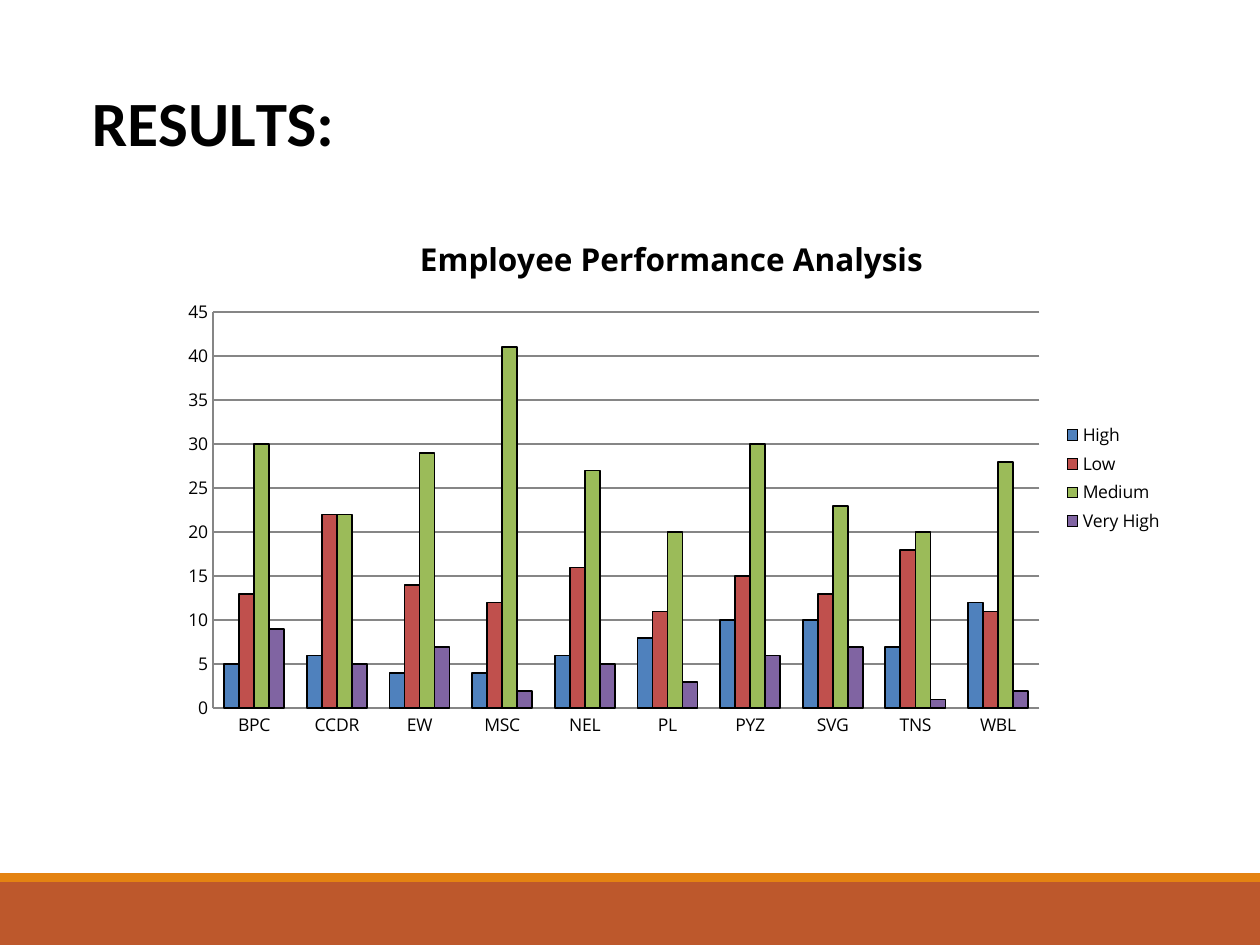
from lxml import etree
from pptx import Presentation
from pptx.chart import data
from pptx.dml.color import RGBColor
from pptx.enum import chart as ch, shapes, text
from pptx.oxml import ns
from pptx.util import Inches, Pt

BLACK = RGBColor(0, 0, 0)
WHITE = RGBColor(255, 255, 255)
GRAY = RGBColor(0x86, 0x86, 0x86)
RUST = RGBColor(0xBD, 0x58, 0x2C)
AMBER = RGBColor(0xE4, 0x83, 0x12)
BLUE = RGBColor(0x4F, 0x81, 0xBD)
RED = RGBColor(0xC0, 0x50, 0x4D)
GREEN = RGBColor(0x9B, 0xBB, 0x59)
PURPLE = RGBColor(0x80, 0x64, 0xA2)


def write(para, words, size=18, face="Open Sans", bold=True, color=BLACK, gap=0):
    run = para.add_run()
    run.text = words
    font = run.font
    font.size, font.name, font.bold = Pt(size), face, bold
    font.color.rgb = color
    if gap:
        run._r.get_or_add_rPr().set("spc", str(round(gap * 100)))


deck = Presentation()
deck.slide_width, deck.slide_height = Inches(10), Inches(7.5)
slide = deck.slides.add_slide(deck.slide_layouts[5])

# Footer bands
for top, high, color in [(7, 0.5, RUST), (6.93, 0.07, AMBER)]:
    band = slide.shapes.add_shape(shapes.MSO_SHAPE.RECTANGLE, 0, Inches(top),
                                  Inches(10), Inches(high))
    band.shadow.inherit = False
    band.fill.solid()
    band.fill.fore_color.rgb = color
    band.line.fill.background()

# Title, with spacing per letter
title = slide.shapes.title
title.left, title.top = Inches(0.67), Inches(0.58)
title.width, title.height = Inches(2.92), Inches(0.71)
frame = title.text_frame
frame.auto_size = text.MSO_AUTO_SIZE.NONE
frame.vertical_anchor = text.MSO_ANCHOR.TOP
frame.margin_left, frame.margin_right = Inches(0.06), 0
frame.margin_top, frame.margin_bottom = Inches(0.08), 0
para = frame.paragraphs[0]
para.alignment = text.PP_ALIGN.LEFT
for part, gap in [("R", 0), ("E", -0.4), ("S", 0.1), ("U", -0.3), ("L", -4), ("TS:", 0)]:
    write(para, part, size=36, face="Calibri", gap=gap)

# Chart data
rows = [
    ("High", BLUE, [5, 6, 4, 4, 6, 8, 10, 10, 7, 12]),
    ("Low", RED, [13, 22, 14, 12, 16, 11, 15, 13, 18, 11]),
    ("Medium", GREEN, [30, 22, 29, 41, 27, 20, 30, 23, 20, 28]),
    ("Very High", PURPLE, [9, 5, 7, 2, 5, 3, 6, 7, 1, 2]),
]
table = data.CategoryChartData()
table.categories = ["BPC", "CCDR", "EW", "MSC", "NEL", "PL", "PYZ", "SVG", "TNS", "WBL"]
for name, color, vals in rows:
    table.add_series(name, vals)
chart = slide.shapes.add_chart(ch.XL_CHART_TYPE.COLUMN_CLUSTERED, Inches(1.33), Inches(1.67),
                               Inches(8), Inches(4.25), table).chart
chart.font.size, chart.font.name = Pt(10), "Open Sans"
chart.font.color.rgb = BLACK

# Chart title and legend
chart.has_title = True
write(chart.chart_title.text_frame.paragraphs[0], "Employee Performance Analysis")
chart.chart_title.include_in_layout = False
chart.has_legend = True
chart.legend.position = ch.XL_LEGEND_POSITION.RIGHT
chart.legend.include_in_layout = False

# Columns
plot = chart.plots[0]
plot.gap_width, plot.overlap, plot.vary_by_categories = 150, 0, False
for series, (name, color, vals) in zip(plot.series, rows):
    look = series.format
    look.fill.solid()
    look.fill.fore_color.rgb = color
    look.line.color.rgb = BLACK
    look.line.width = Pt(1)

# Axes
value = chart.value_axis
value.minimum_scale, value.maximum_scale, value.major_unit = 0, 45, 5
value.has_major_gridlines = True
for axis in (value, chart.category_axis):
    axis.major_tick_mark = axis.minor_tick_mark = ch.XL_TICK_MARK.NONE
for part in (value, chart.category_axis, value.major_gridlines):
    part.format.line.color.rgb = GRAY
    part.format.line.width = Pt(1)

# Plot area place inside the chart
area = chart._chartSpace.chart.plotArea
for old in area.findall(ns.qn("c:layout")):
    area.remove(old)
layout = etree.Element(ns.qn("c:layout"))
area.insert(0, layout)
place = etree.SubElement(layout, ns.qn("c:manualLayout"))
for tag, val in [("layoutTarget", "inner"), ("xMode", "edge"), ("yMode", "edge"),
                 ("x", 0.045), ("y", 0.19), ("w", 0.82), ("h", 0.74)]:
    etree.SubElement(place, ns.qn("c:" + tag)).set("val", str(val))

deck.save("out.pptx")
